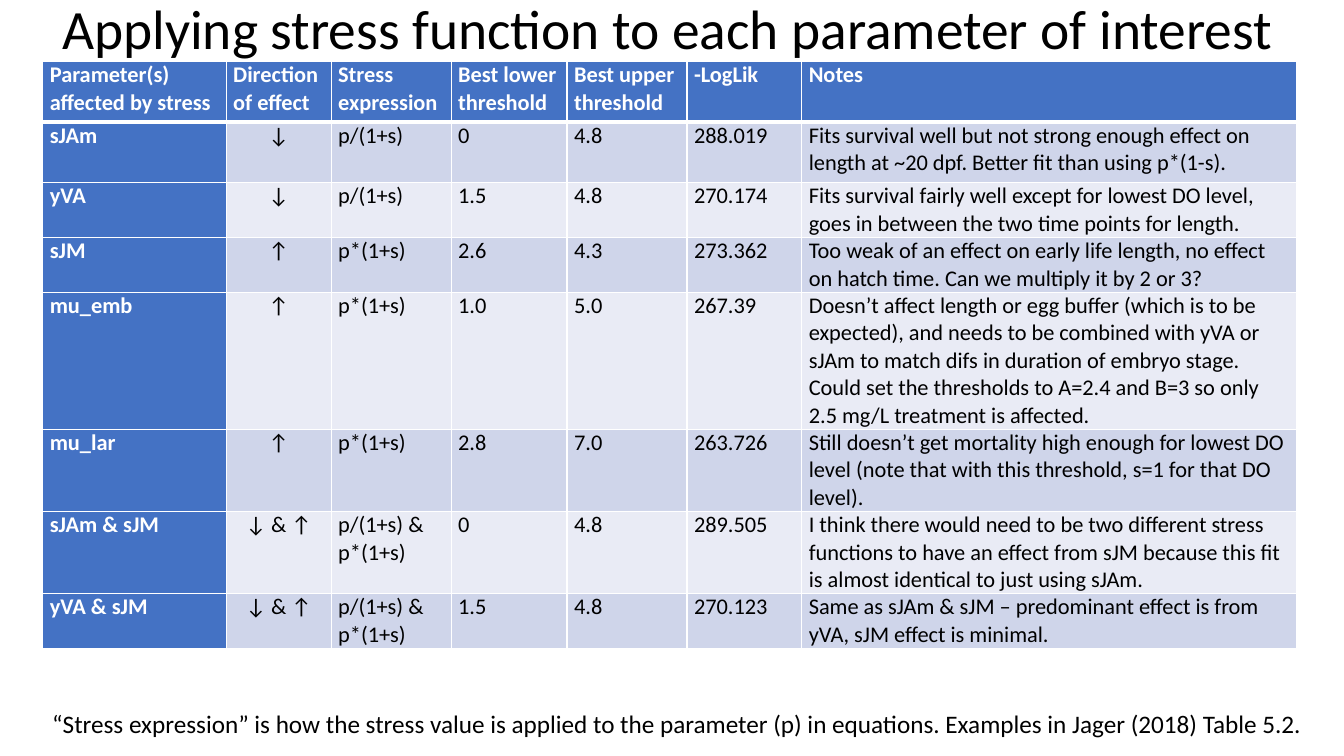
from dataclasses import dataclass
from typing import Any

from lxml.etree import SubElement
from pptx import Presentation
from pptx.dml.color import RGBColor
from pptx.enum.text import MSO_ANCHOR, PP_ALIGN
from pptx.oxml.ns import qn
from pptx.util import Pt

FONT = "Calibri"
BLACK = RGBColor(0x00, 0x00, 0x00)
WHITE = RGBColor(0xFF, 0xFF, 0xFF)
BLUE = RGBColor(0x44, 0x72, 0xC4)
BANDS = (RGBColor(0xE9, 0xEB, 0xF5), RGBColor(0xCF, 0xD5, 0xEA))

COL_WIDTHS = (131, 75, 85.7, 82.8, 85.7, 82, 353.5)
HEADER_HEIGHT = 43.2
LINE_HEIGHT = 19.53
ARROW_COL = 1

HEADERS = (
    "Parameter(s) affected by stress", "Direction of effect", "Stress expression",
    "Best lower threshold", "Best upper threshold", "-LogLik", "Notes",
)


@dataclass(frozen=True)
class Caption:
    text: str
    left: float
    top: float
    width: float
    height: float
    size: float
    anchor: Any
    spacing: float


@dataclass(frozen=True)
class Fit:
    parameter: str
    direction: str
    expression: str
    lower: str
    upper: str
    loglik: str
    notes: str
    height: float

    def texts(self) -> tuple[str, ...]:
        return (self.parameter, self.direction, self.expression, self.lower,
                self.upper, self.loglik, self.notes)


CAPTIONS = (
    Caption("Applying stress function to each parameter of interest",
            37.4, 1.4, 888, 42.5, 39.6, MSO_ANCHOR.MIDDLE, 0.9),
    Caption("“Stress expression” is how the stress value is applied to the parameter (p) "
            "in equations. Examples in Jager (2018) Table 5.2.",
            30.2, 502.6, 913, 29, 18, MSO_ANCHOR.TOP, 1.0),
)

FITS = (
    Fit("sJAm", "↓", "p/(1+s)", "0", "4.8", "288.019",
        "Fits survival well but not strong enough effect on length at ~20 dpf. "
        "Better fit than using p*(1-s).", HEADER_HEIGHT),
    Fit("yVA", "↓", "p/(1+s)", "1.5", "4.8", "270.174",
        "Fits survival fairly well except for lowest DO level, goes in between "
        "the two time points for length.", 2 * LINE_HEIGHT),
    Fit("sJM", "↑", "p*(1+s)", "2.6", "4.3", "273.362",
        "Too weak of an effect on early life length, no effect on hatch time. "
        "Can we multiply it by 2 or 3?", 2 * LINE_HEIGHT),
    Fit("mu_emb", "↑", "p*(1+s)", "1.0", "5.0", "267.39",
        "Doesn’t affect length or egg buffer (which is to be expected), and needs to be "
        "combined with yVA or sJAm to match difs in duration of embryo stage.\n"
        "Could set the thresholds to A=2.4 and B=3 so only 2.5 mg/L treatment is affected.",
        5 * LINE_HEIGHT),
    Fit("mu_lar", "↑", "p*(1+s)", "2.8", "7.0", "263.726",
        "Still doesn’t get mortality high enough for lowest DO level (note that with this "
        "threshold, s=1 for that DO level).", 3 * LINE_HEIGHT),
    Fit("sJAm & sJM", "↓ & ↑", "p/(1+s) & p*(1+s)", "0", "4.8", "289.505",
        "I think there would need to be two different stress functions to have an effect "
        "from sJM because this fit is almost identical to just using sJAm.", 3 * LINE_HEIGHT),
    Fit("yVA & sJM", "↓ & ↑", "p/(1+s) & p*(1+s)", "1.5", "4.8", "270.123",
        "Same as sJAm & sJM – predominant effect is from yVA, sJM effect is minimal.",
        2 * LINE_HEIGHT),
)


def set_attrs(obj: Any, values: dict[str, Any]) -> None:
    for name, value in values.items():
        setattr(obj, name, value)


def write_text(tf: Any, text: str, size: float, color: RGBColor, bold: bool = False,
               **para_format: Any) -> None:
    tf.text = text
    for p in tf.paragraphs:
        set_attrs(p, para_format)
        for r in p.runs:
            set_attrs(r.font, {"name": FONT, "size": Pt(size), "bold": bold})
            r.font.color.rgb = color


def add_caption(s: Any, caption: Caption) -> None:
    sp = s.shapes.add_textbox(Pt(caption.left), Pt(caption.top),
                              Pt(caption.width), Pt(caption.height))
    set_attrs(sp.text_frame, {"word_wrap": True, "vertical_anchor": caption.anchor})
    write_text(sp.text_frame, caption.text, caption.size, BLACK, line_spacing=caption.spacing)


def add_borders(cell: Any, top: float, bottom: float) -> None:
    tc_pr = cell._tc.get_or_add_tcPr()
    for side, width in (("L", 1), ("R", 1), ("T", top), ("B", bottom)):
        ln = SubElement(tc_pr, qn(f"a:ln{side}"), w=str(Pt(width)))
        SubElement(SubElement(ln, qn("a:solidFill")), qn("a:srgbClr"), val=str(WHITE))


def format_cell(cell: Any, row: int, col: int, text: str) -> None:
    heading = row == 0 or col == 0
    add_borders(cell, 3 if row == 1 else 1, 3 if row == 0 else 1)
    cell.fill.solid()
    cell.fill.fore_color.rgb = BLUE if heading else BANDS[row % 2]
    set_attrs(cell, {"margin_left": Pt(5), "margin_right": Pt(5),
                     "margin_top": Pt(0), "margin_bottom": Pt(0)})
    centred = col == ARROW_COL and row > 0
    write_text(cell.text_frame, text, 16, WHITE if heading else BLACK, heading,
               alignment=PP_ALIGN.CENTER if centred else PP_ALIGN.LEFT)


def add_fit_table(s: Any) -> None:
    rows = [HEADERS] + [fit.texts() for fit in FITS]
    heights = [HEADER_HEIGHT] + [fit.height for fit in FITS]
    table = s.shapes.add_table(len(rows), len(HEADERS), Pt(30.6), Pt(44),
                               Pt(sum(COL_WIDTHS)), Pt(sum(heights))).table
    table.first_col = True
    for column, width in zip(table.columns, COL_WIDTHS):
        column.width = Pt(width)
    for i, (texts, height) in enumerate(zip(rows, heights)):
        table.rows[i].height = Pt(height)
        for j, text in enumerate(texts):
            format_cell(table.cell(i, j), i, j, text)


def main() -> None:
    prs = Presentation()
    set_attrs(prs, {"slide_width": Pt(960), "slide_height": Pt(540)})
    s = prs.slides.add_slide(prs.slide_layouts[6])
    add_fit_table(s)
    for caption in CAPTIONS:
        add_caption(s, caption)
    prs.save("out.pptx")


if __name__ == "__main__":
    main()
